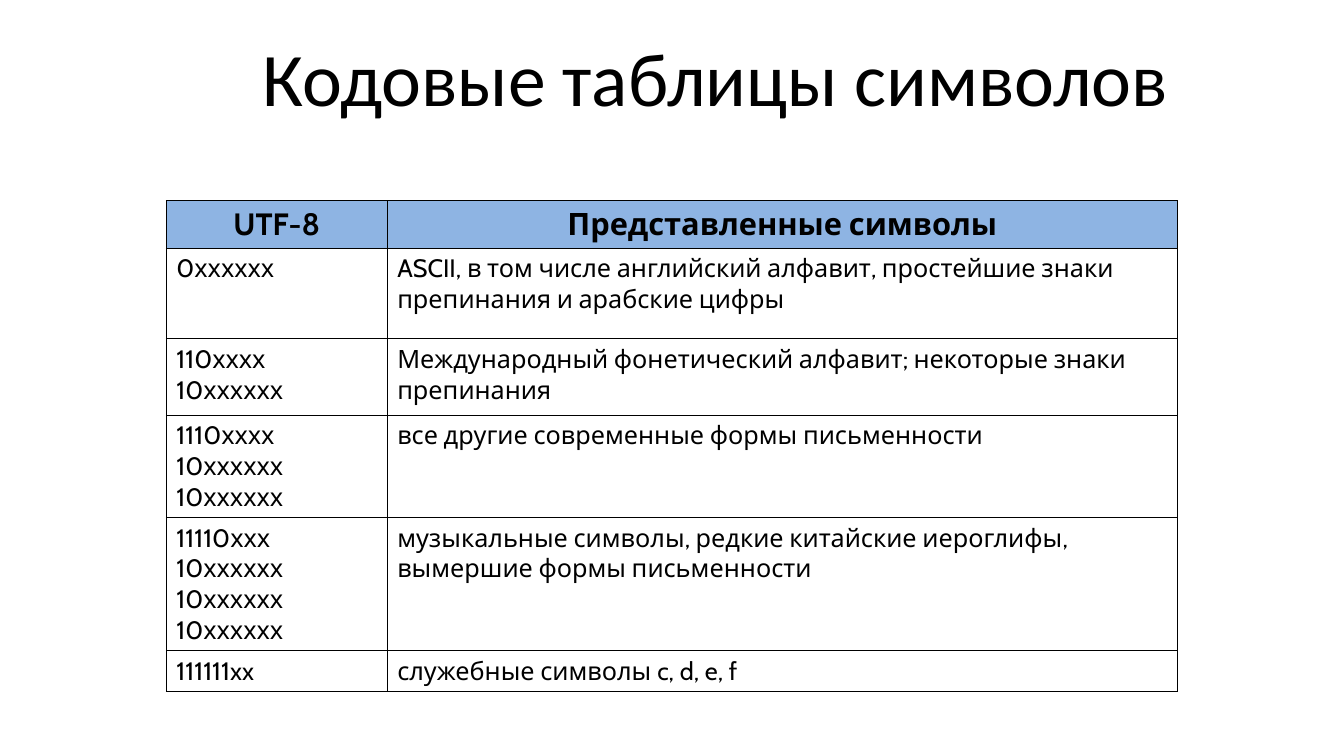
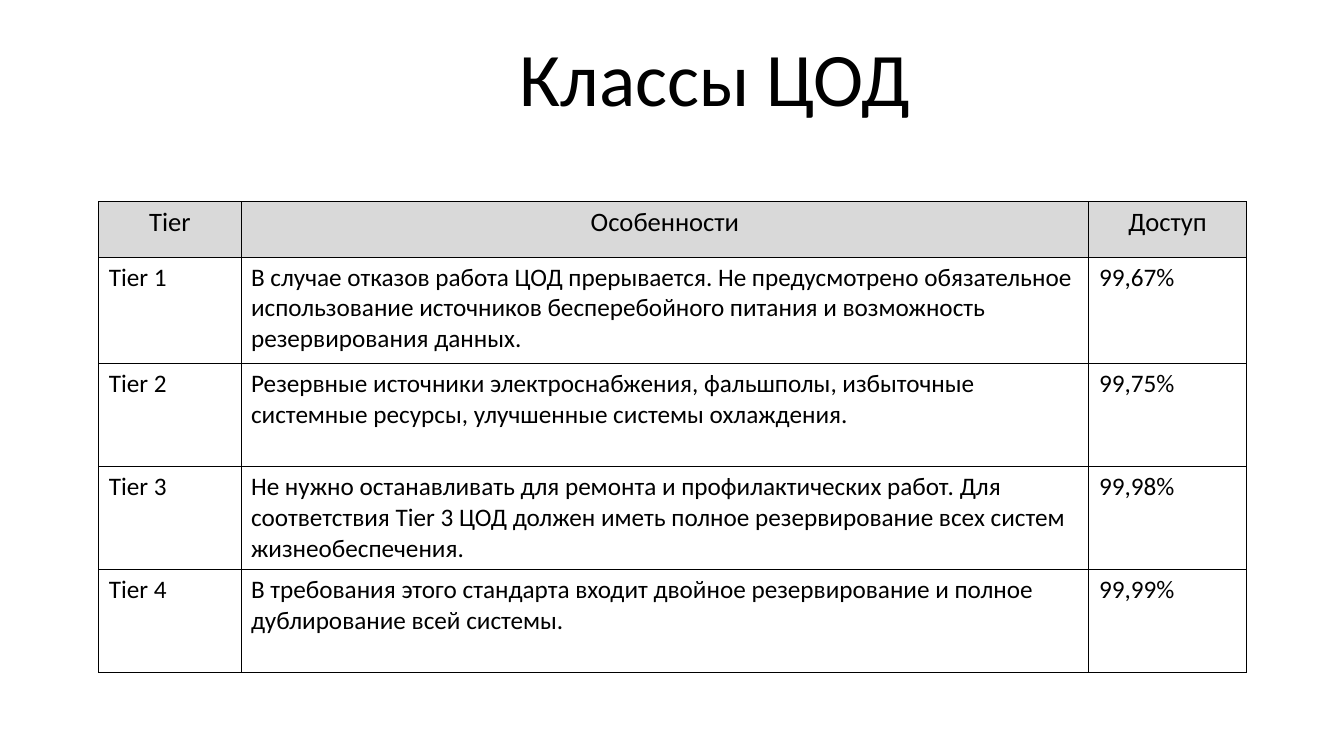
from pptx import Presentation
from pptx.dml.color import RGBColor
from pptx.enum.text import MSO_ANCHOR, MSO_AUTO_SIZE, PP_ALIGN
from pptx.oxml import parse_xml
from pptx.oxml.ns import nsdecls
from pptx.util import Inches, Pt

LEFT, CENTER = PP_ALIGN.LEFT, PP_ALIGN.CENTER
TOP, NO_FIT = MSO_ANCHOR.TOP, MSO_AUTO_SIZE.NONE
TITLE_ONLY = 5

THEME = {
    "ink": "000000", "paper": "FFFFFF", "blue": "8EB4E3", "gray": "D9D9D9",
    "title_font": "Calibri", "title_size": 54, "body_size": 18, "border": 0.75,
}

prs = Presentation()
prs.slide_width, prs.slide_height = Inches(13.33), Inches(7.5)
COL, ROW = prs.slide_width / 100, prs.slide_height / 100  # one percent of the slide


def write(tf, text, size=THEME["body_size"], font=THEME["title_font"], bold=False, align=LEFT):
    p = tf.paragraphs[0]
    p.text = text
    p.alignment = align
    for r in p.runs:
        r.font.size, r.font.name, r.font.bold = Pt(size), font, bold
        r.font.color.rgb = RGBColor.from_string(THEME["ink"])


def paint(cell, fill):
    tcPr = cell._tc.get_or_add_tcPr()
    for side in ("lnL", "lnR", "lnT", "lnB"):
        tcPr.append(parse_xml(
            f'<a:{side} {nsdecls("a")} w="{Pt(THEME["border"])}"><a:solidFill>'
            f'<a:srgbClr val="{THEME["ink"]}"/></a:solidFill></a:{side}>'))
    cell.fill.solid()
    cell.fill.fore_color.rgb = RGBColor.from_string(fill)


# Shared title position, set on the layout
layout = prs.slide_layouts[TITLE_ONLY]
title = layout.placeholders[0]
title.left, title.top = int(7.35 * COL), int(3.07 * ROW)
title.width, title.height = int(91.75 * COL), int(16.93 * ROW)
tf = title.text_frame
tf.vertical_anchor, tf.auto_size, tf.margin_top = TOP, NO_FIT, Inches(0.08)

# Slide contents; positions, columns and rows in percent of the slide
slides = [
    {
        "title": "Кодовые таблицы символов",
        "font": "Cabin", "head_size": 22, "head_bold": True, "head_fill": THEME["blue"],
        "left": 12.38, "top": 26.53,
        "cols": [16.43, 58.81], "rows": [5.6, 12, 10.13, 12, 15.73, 4.8],
        "cells": [
            ["UTF-8", "Представленные символы"],
            ["0хххххх", "ASCII, в том числе английский алфавит, простейшие знаки препинания и арабские цифры"],
            ["110хххх\v10хххххх", "Международный фонетический алфавит; некоторые знаки препинания"],
            ["1110хххх\v10хххххх\v10хххххх", "все другие современные формы письменности"],
            ["11110ххх\v10хххххх\v10хххххх\v10хххххх",
             "музыкальные символы, редкие китайские иероглифы, вымершие формы письменности"],
            ["111111xx", "служебные символы c, d, e, f"],
        ],
    },
    {
        "title": "Классы ЦОД",
        "font": "Calibri", "head_size": 19, "head_bold": False, "head_fill": THEME["gray"],
        "left": 7.35, "top": 26.67,
        "cols": [10.58, 63.09, 11.7], "rows": [7.33, 14.13, 13.6, 13.6, 13.6],
        "cells": [
            ["Tier", "Особенности", "Доступ"],
            ["Tier 1", "В случае отказов работа ЦОД прерывается. Не предусмотрено обязательное "
             "использование источников бесперебойного питания и возможность резервирования данных.", "99,67%"],
            ["Tier 2", "Резервные источники электроснабжения, фальшполы, избыточные системные ресурсы, "
             "улучшенные системы охлаждения.", "99,75%"],
            ["Tier 3", "Не нужно останавливать для ремонта и профилактических работ. "
             "Для соответствия Tier 3 ЦОД должен иметь полное резервирование всех систем "
             "жизнеобеспечения.", "99,98%"],
            ["Tier 4", "В требования этого стандарта входит двойное резервирование и полное "
             "дублирование всей системы.", "99,99%"],
        ],
    },
]

for data in slides:
    # Title
    s = prs.slides.add_slide(layout)
    write(s.shapes.title.text_frame, data["title"], size=THEME["title_size"], align=CENTER)

    # Table grid
    cols, rows = data["cols"], data["rows"]
    table = s.shapes.add_table(
        len(rows), len(cols), int(data["left"] * COL), int(data["top"] * ROW),
        int(sum(cols) * COL), int(sum(rows) * ROW)).table
    table.horz_banding = False
    for column, width in zip(table.columns, cols):
        column.width = int(width * COL)
    for row, height in zip(table.rows, rows):
        row.height = int(height * ROW)

    # Header and body cells
    head = {"size": data["head_size"], "bold": data["head_bold"], "align": CENTER}
    for i, texts in enumerate(data["cells"]):
        for j, text in enumerate(texts):
            cell = table.cell(i, j)
            paint(cell, THEME["paper"] if i else data["head_fill"])
            write(cell.text_frame, text, font=data["font"], **({} if i else head))

prs.save("out.pptx")
